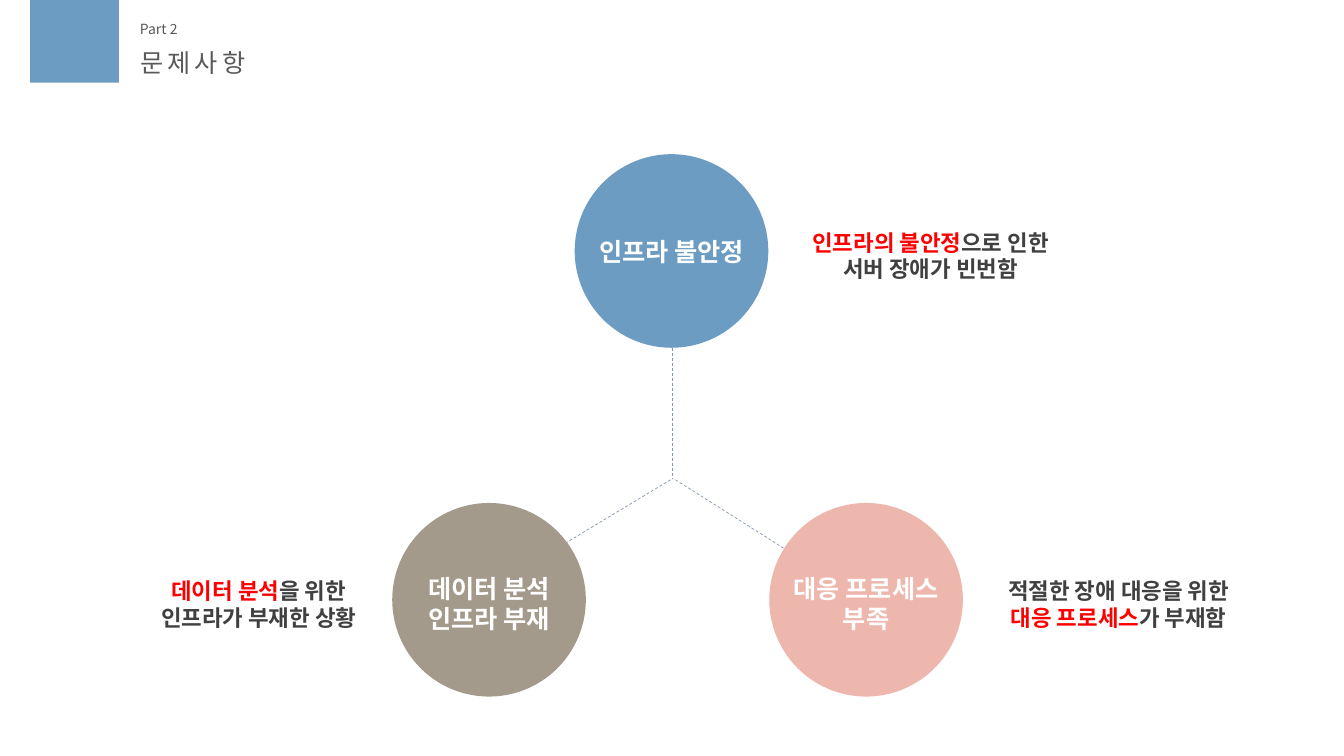
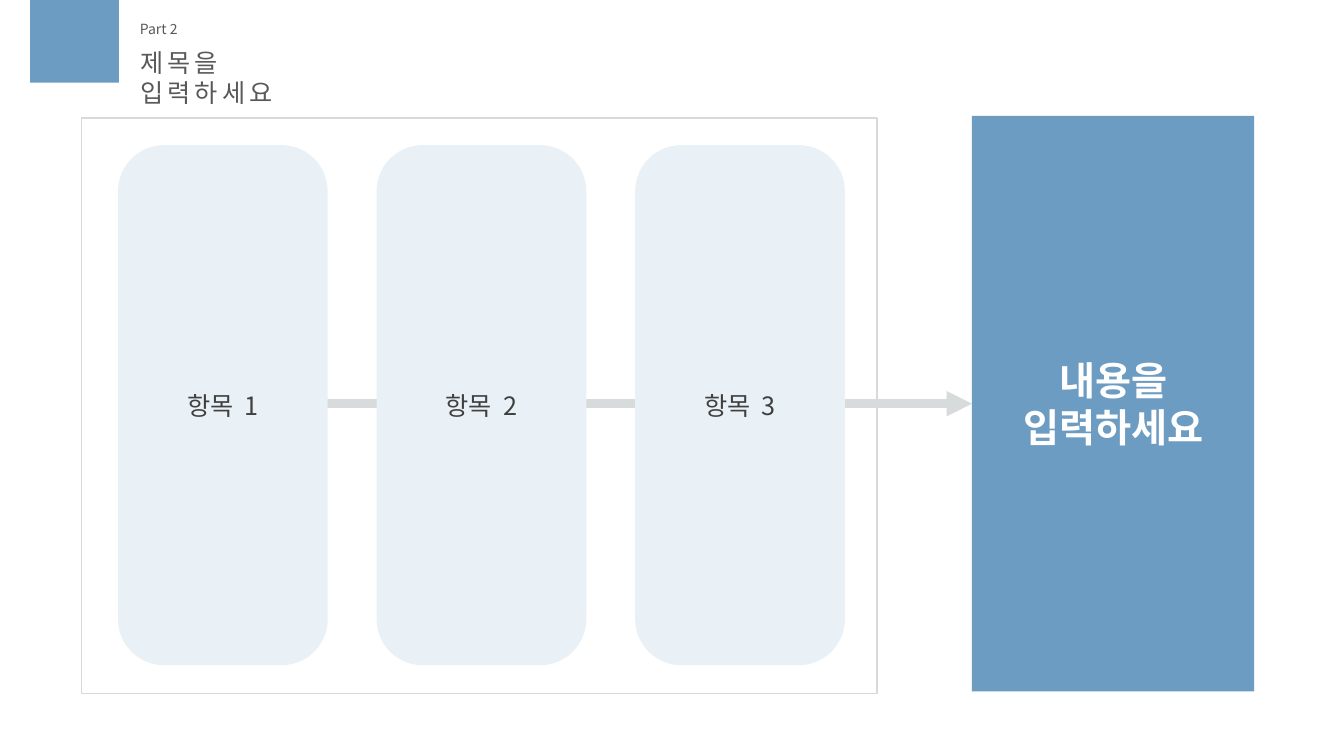
from lxml.etree import SubElement
from pptx import Presentation
from pptx.dml.color import RGBColor
from pptx.enum.dml import MSO_LINE
from pptx.enum.shapes import MSO_CONNECTOR, MSO_SHAPE
from pptx.enum.text import MSO_ANCHOR, PP_ALIGN
from pptx.oxml.ns import qn
from pptx.util import Inches, Pt

FONT = "Noto Sans CJK KR"
BLUE = RGBColor(0x6C, 0x9C, 0xC2)
TAUPE = RGBColor(0xA4, 0x9A, 0x8C)
PINK = RGBColor(0xED, 0xB7, 0xAE)
PALE = RGBColor(0xE9, 0xF1, 0xF6)
WHITE = RGBColor(0xFF, 0xFF, 0xFF)
RED = RGBColor(0xFF, 0x00, 0x00)
DARK = RGBColor(0x40, 0x40, 0x40)
GREY = RGBColor(0x59, 0x59, 0x59)
EDGE = RGBColor(0xD9, 0xD9, 0xD9)
ARROW = RGBColor(0xD7, 0xDB, 0xDC)
SLATE = RGBColor(0x84, 0x97, 0xB0)


def write(frame, lines, size, color, bold=False, align=PP_ALIGN.CENTER, gap=0):
    """Fill a frame; each line is a list of (text, {style changes}) runs."""
    for i, line in enumerate(lines):
        para = frame.paragraphs[0] if i == 0 else frame.add_paragraph()
        para.alignment = align
        for text, style in line:
            run = para.add_run()
            run.text = text
            font = run.font
            font.size, font.bold, font.name = Pt(size), bold, FONT
            font.color.rgb = style.get("color", color)
            props = font._element
            SubElement(props, qn("a:ea")).set("typeface", FONT)
            space = style.get("gap", gap)
            if space:
                props.set("spc", str(space * 100))


def plain(*texts):
    return [[(text, {})] for text in texts]


def add_text(slide, x, y, w, h, lines, size, color, **style):
    box = slide.shapes.add_textbox(Inches(x), Inches(y), Inches(w), Inches(h))
    box.text_frame.word_wrap = True
    write(box.text_frame, lines, size, color, **style)


def add_box(slide, kind, x, y, w, h, fill, edge=None):
    box = slide.shapes.add_shape(kind, Inches(x), Inches(y), Inches(w), Inches(h))
    box.shadow.inherit = False
    box.fill.solid()
    box.fill.fore_color.rgb = fill
    if edge:
        box.line.color.rgb = edge
        box.line.width = Pt(1)
    else:
        box.line.fill.background()
    box.text_frame.vertical_anchor = MSO_ANCHOR.MIDDLE
    return box


def add_line(slide, start, end, color, width):
    line = slide.shapes.add_connector(
        MSO_CONNECTOR.STRAIGHT, *(Inches(v) for v in (*start, *end)))
    line.line.color.rgb = color
    line.line.width = Pt(width)
    SubElement(line._element.spPr, qn("a:effectLst"))
    return line


def add_head(slide, part, title):
    add_box(slide, MSO_SHAPE.RECTANGLE, 0.3, 0, 0.88, 0.82, BLUE)
    add_text(slide, 1.29, 0.15, 1, 0.27, plain(part), 10, GREY, align=PP_ALIGN.LEFT)
    add_text(slide, 1.29, 0.42, 2.38, 0.4, plain(title), 18, GREY,
             align=PP_ALIGN.LEFT, gap=3)


def add_disc(slide, x, y, fill, label, note, left, width):
    """Circle with its label, and a note beside it."""
    side = 1.92
    disc = add_box(slide, MSO_SHAPE.OVAL, x, y, side, side, fill)
    disc.text_frame.word_wrap = False
    if len(label) > 1:
        disc.text_frame.margin_top = Inches(0.12)
    write(disc.text_frame, plain(*label), 18, WHITE, bold=True)
    add_text(slide, left, y + 0.69, width, 0.64, note, 16, DARK, bold=True)


def add_issues(slide):
    # Dashed spokes
    for start, end in (((6.67, 3.45), (6.67, 4.75)),
                       ((6.65, 4.76), (5.24, 5.61)),
                       ((6.7, 4.76), (7.87, 5.5))):
        add_line(slide, start, end, SLATE, 0.5).line.dash_style = MSO_LINE.DASH
    # Three issues
    red = {"color": RED}
    add_disc(slide, 5.7, 1.53, BLUE, ["인프라 불안정"],
             [[("인프라의 불안정", red), ("으로 인한", {})],
              [("서버 장애가 빈번함", {})]], 7.78, 2.9)
    add_disc(slide, 3.89, 4.99, TAUPE, ["데이터 분석", "인프라 부재"],
             [[("데이터 분석", red), ("을 위한", {})],
              [("인프라가 부재한 상황", {})]], 1.29, 2.55)
    add_disc(slide, 7.63, 4.99, PINK, ["대응 프로세스", "부족"],
             [[("적절한 장애 대응을 위한", {})],
              [("대응 프로세스", red), ("가 부재함", {})]], 9.74, 2.71)


def add_flow(slide, x, y, h):
    # Frame, arrow and goal
    goal = x + 8.83
    add_box(slide, MSO_SHAPE.RECTANGLE, x, y + 0.02, 7.89, h, WHITE, EDGE)
    arrow = add_line(slide, (x + 0.36, y + h / 2), (goal, y + h / 2), ARROW, 6)
    SubElement(arrow.line._get_or_add_ln(), qn("a:tailEnd")).set("type", "triangle")
    box = add_box(slide, MSO_SHAPE.RECTANGLE, goal, y, 2.8, h, BLUE)
    write(box.text_frame, plain("내용을", "입력하세요"), 28, WHITE, bold=True)
    # Cards at equal steps
    for i in range(3):
        card = add_box(slide, MSO_SHAPE.ROUNDED_RECTANGLE,
                       x + 0.36 + i * 2.565, y + 0.29, 2.08, h - 0.55, PALE)
        card.adjustments[0] = 0.22
        label = [("항목", {}), (" ", {"gap": 4}), (str(i + 1), {})]
        write(card.text_frame, [label], 18, DARK)


def main():
    deck = Presentation()
    deck.slide_width, deck.slide_height = Inches(13.33), Inches(7.5)
    blank = deck.slide_layouts[6]

    slide = deck.slides.add_slide(blank)
    add_head(slide, "Part 2", "문제사항")
    add_issues(slide)

    slide = deck.slides.add_slide(blank)
    add_head(slide, "Part 2", "제목을 입력하세요")
    add_flow(slide, 0.81, 1.15, 5.71)

    deck.save("out.pptx")


if __name__ == "__main__":
    main()
